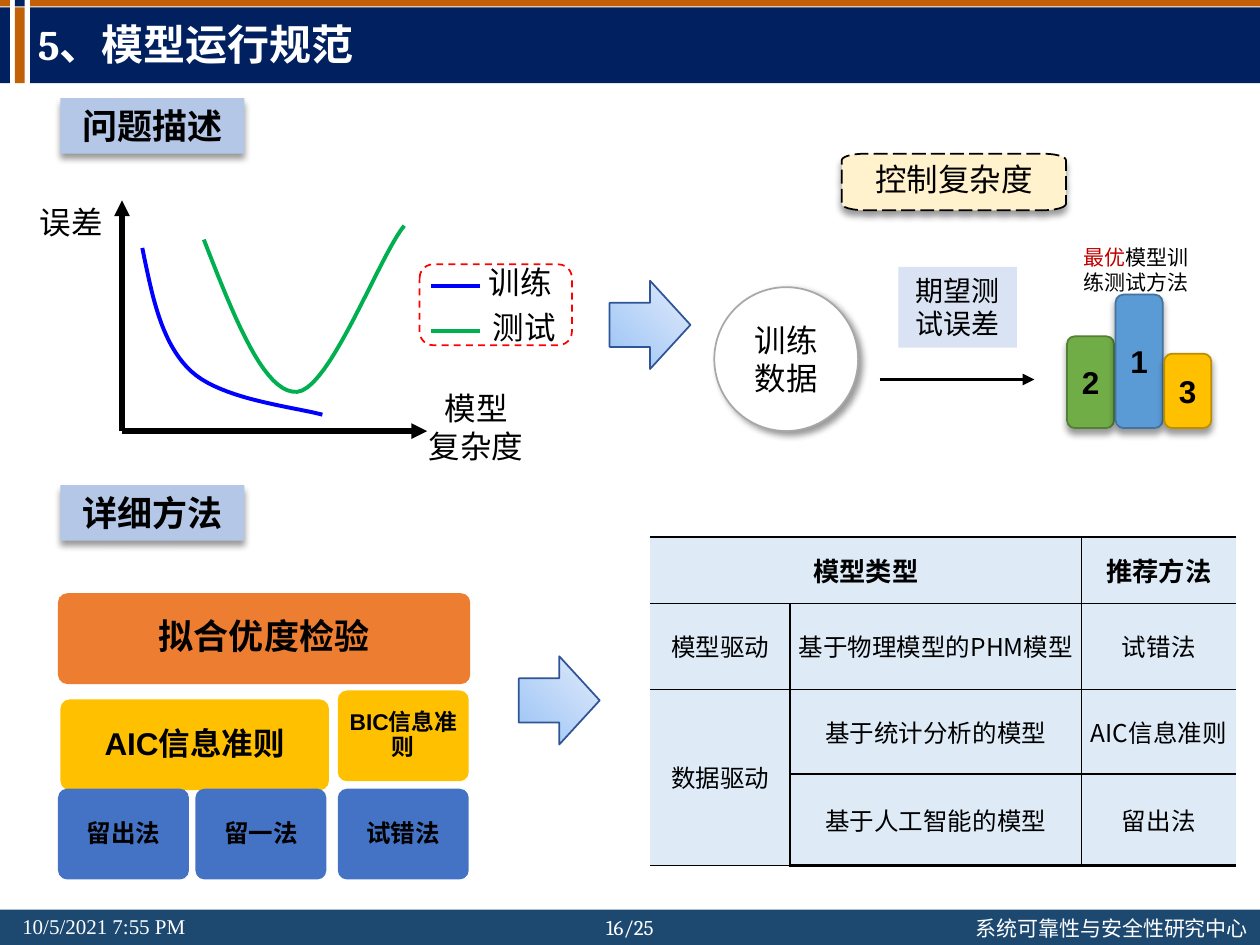
import math

import pptx
import pptx.dml.color
import pptx.enum.dml
import pptx.enum.shapes
import pptx.enum.text
import pptx.oxml
import pptx.oxml.ns
import pptx.util
from lxml import etree

Cm = pptx.util.Cm
Pt = pptx.util.Pt
qn = pptx.oxml.ns.qn
SHAPE = pptx.enum.shapes.MSO_SHAPE
DASH = pptx.enum.dml.MSO_LINE
ALIGN = pptx.enum.text.PP_ALIGN
ANCHOR = pptx.enum.text.MSO_ANCHOR

CJK = "Noto Sans CJK SC"
COLORS = {
    "black": "000000", "white": "FFFFFF", "navy": "002060", "rust": "C16007",
    "footer": "1D4971", "heading": "B4C7E7", "train": "0000FF", "test": "00B050",
    "legend": "FF0000", "arrow_start": "9AC3F5", "arrow_end": "E1EBFB",
    "arrow_line": "2F5597", "cream": "FFF2CC", "pale": "DAE3F3", "grey": "A8A8A8",
    "first": "5B9BD5", "first_line": "43739E", "second": "70AD47",
    "second_line": "538035", "third": "FFC000", "third_line": "BD8E00",
    "best": "C00000", "orange": "ED7D31", "blue": "4472C4", "cell": "DEEBF7",
}


def color(name):
    return pptx.dml.color.RGBColor.from_string(COLORS[name])


def write(frame, text, size=18, font="Arial", ink="black", bold=False, align=ALIGN.CENTER,
          anchor=ANCHOR.TOP, spacing=None, wrap=True, margin=None, lead="", lead_ink="best"):
    """Fill a text frame, one paragraph a line; lead is a coloured opening span."""
    frame.word_wrap = wrap
    frame.vertical_anchor = anchor
    if margin is not None:
        frame.margin_left = frame.margin_right = Cm(margin)
        frame.margin_top = frame.margin_bottom = Cm(margin)
    for index, line in enumerate(text.split("\n")):
        para = frame.add_paragraph() if index else frame.paragraphs[0]
        para.alignment = align
        if spacing:
            para.line_spacing = spacing
        spans = [(line, ink)]
        if lead and index == 0:
            spans.insert(0, (lead, lead_ink))
        for content, name in spans:
            span = para.add_run()
            span.text = content
            span.font.size = Pt(size)
            span.font.name = font
            span.font.bold = bold
            span.font.color.rgb = color(name)
            etree.SubElement(span.font._element, qn("a:ea"), typeface=CJK)


def add_text(page, left, top, width, height, text, **style):
    box = page.shapes.add_textbox(Cm(left), Cm(top), Cm(width), Cm(height))
    write(box.text_frame, text, **style)


def add_shadow(shape, angle):
    effects = shape.element.spPr.find(qn("a:effectLst"))
    shadow = etree.SubElement(effects, qn("a:outerShdw"), blurRad=str(Pt(4)), dist=str(Pt(3)),
                              dir=str(angle * 60000), algn="ctr", rotWithShape="0")
    tint = etree.SubElement(shadow, qn("a:srgbClr"), val=COLORS["black"])
    etree.SubElement(tint, qn("a:alpha"), val="40000")


def paint(shape, fill=None, line=None, width=1, dash=None, shadow=None):
    """Set fill, outline and shadow; shadow is its angle in degrees."""
    shape.shadow.inherit = False
    if fill:
        shape.fill.solid()
        shape.fill.fore_color.rgb = color(fill)
    else:
        shape.fill.background()
    if line:
        shape.line.color.rgb = color(line)
        shape.line.width = Pt(width)
        if dash:
            shape.line.dash_style = dash
    else:
        shape.line.fill.background()
    if shadow is not None:
        add_shadow(shape, shadow)


def add_shape(page, kind, left, top, width, height, radius=None, **look):
    shape = page.shapes.add_shape(kind, Cm(left), Cm(top), Cm(width), Cm(height))
    if radius is not None:
        shape.adjustments[0] = radius
    paint(shape, **look)
    return shape


def add_line(page, start, end, ink, width, arrow=False):
    line = page.shapes.add_connector(pptx.enum.shapes.MSO_CONNECTOR.STRAIGHT,
                                     Cm(start[0]), Cm(start[1]), Cm(end[0]), Cm(end[1]))
    line.line.color.rgb = color(ink)
    line.line.width = Pt(width)
    properties = line.element.spPr
    if arrow:
        etree.SubElement(properties.find(qn("a:ln")), qn("a:tailEnd"), type="triangle")
    etree.SubElement(properties, qn("a:effectLst"))


def add_outline(page, points, close=False, **look):
    points = [(Cm(x), Cm(y)) for x, y in points]
    builder = page.shapes.build_freeform(*points[0])
    builder.add_line_segments(points[1:], close=close)
    shape = builder.convert_to_shape()
    paint(shape, **look)
    return shape


def bezier_points(knots, steps=20):
    """Points along joined cubic curves: start, then two controls and an end for each."""
    points = [knots[0]]
    for first in range(0, len(knots) - 1, 3):
        for step in range(1, steps + 1):
            t = step / steps
            weights = ((1 - t) ** 3, 3 * t * (1 - t) ** 2, 3 * t * t * (1 - t), t ** 3)
            points.append(tuple(sum(w * knot[axis] for w, knot in zip(weights, knots[first:first + 4]))
                                for axis in (0, 1)))
    return points


def oval_corner_points(left, top, width, height, rx, ry):
    right, bottom = left + width - rx, top + height - ry
    centers = [(right, bottom), (left + rx, bottom), (left + rx, top + ry), (right, top + ry)]
    return [(x + rx * math.cos(math.radians(90 * corner + turn)),
             y + ry * math.sin(math.radians(90 * corner + turn)))
            for corner, (x, y) in enumerate(centers) for turn in range(0, 91, 15)]


def add_block_arrow(page, left, top):
    arrow = add_shape(page, SHAPE.RIGHT_ARROW, left, top, 1.63, 1.78, line="arrow_line")
    arrow.fill.gradient()
    arrow.fill.gradient_angle = 45
    for stop, name in zip(arrow.fill.gradient_stops, ("arrow_start", "arrow_end")):
        stop.color.rgb = color(name)


def add_frame(page):
    add_shape(page, SHAPE.RECTANGLE, 0, 18.34, 25.4, 0.71, fill="footer")
    for left, width, top_ink, band_ink in ((0.61, 24.79, "rust", "navy"), (0.3, 0.2, "navy", "rust"),
                                           (0, 0.2, "rust", "navy")):
        add_shape(page, SHAPE.RECTANGLE, left, 0, width, 0.13, fill=top_ink)
        add_shape(page, SHAPE.RECTANGLE, left, 0.15, width, 1.53, fill=band_ink)
    for left, top, width, text, font, align in (
            (0.2, 18.29, 4.14, "10/5/2021 7:55 PM", "Times New Roman", ALIGN.LEFT),
            (19.41, 18.34, 6.1, "系统可靠性与安全性研究中心", CJK, ALIGN.LEFT),
            (11.81, 18.31, 1.78, "16/25", "Cambria", ALIGN.CENTER)):
        add_text(page, left, top, width, 0.76, text, size=12, font=font, ink="white",
                 align=align, wrap=False)


def add_title(page, text):
    title = page.shapes.title
    title.left, title.top, title.width, title.height = Cm(0.51), Cm(0.18), Cm(22.53), Cm(1.52)
    write(title.text_frame, text, size=24, font="Cambria", ink="white", bold=True,
          align=ALIGN.LEFT, anchor=ANCHOR.MIDDLE, spacing=0.9)
    title.element.getparent().append(title.element)


def add_heading(page, top, text):
    box = add_shape(page, SHAPE.RECTANGLE, 1.22, top, 3.71, 1.12, fill="heading", shadow=90)
    write(box.text_frame, text, size=20, font="Times New Roman", bold=True)


def add_error_plot(page):
    origin = (2.46, 8.69)
    add_text(page, 0, 3.96, 2.87, 1.02, "误差")
    for end in ((2.46, 4.04), (8.61, 8.69)):
        add_line(page, origin, end, "black", 3, arrow=True)
    test = [(4.11, 4.83), (4.72, 6.4), (5.33, 7.95), (5.99, 7.9), (6.65, 7.85), (7.65, 5.16), (8.15, 4.55)]
    train = [(2.87, 5), (3.07, 5.97), (3.25, 6.93), (3.86, 7.49), (4.47, 8.05), (5.89, 8.2), (6.5, 8.36)]
    for knots, ink in ((test, "test"), (train, "train")):
        add_outline(page, bezier_points(knots), line=ink, width=2.25)
    add_text(page, 8.15, 7.72, 2.9, 1.8, "模型\n复杂度")
    for y, left, ink, text in ((5.77, 9.6, "train", "训练"), (6.68, 9.68, "test", "测试")):
        add_line(page, (8.69, y), (9.68, y), ink, 2.25)
        add_text(page, left, y - 0.59, 1.93, 1.02, text, align=ALIGN.LEFT)
    add_shape(page, SHAPE.ROUNDED_RECTANGLE, 8.46, 5.33, 3.07, 1.63, line="legend", dash=DASH.DASH)


def add_complexity_control(page):
    goal = add_outline(page, oval_corner_points(16.97, 3.1, 4.52, 1.14, 0.46, 0.13), close=True,
                       fill="cream", line="black", dash=DASH.LONG_DASH, shadow=90)
    write(goal.text_frame, "控制复杂度", font="Times New Roman")
    expected = add_shape(page, SHAPE.RECTANGLE, 18.11, 5.38, 2.39, 1.63, fill="pale")
    write(expected.text_frame, "期望测试误差", size=16, font="Times New Roman")
    data = add_shape(page, SHAPE.FLOWCHART_CONNECTOR, 14.4, 5.79, 2.9, 2.9, fill="white",
                     line="grey", shadow=45)
    write(data.text_frame, "训练数据", anchor=ANCHOR.MIDDLE)
    add_line(page, (17.73, 7.65), (20.85, 7.65), "black", 2.25, arrow=True)
    for index, (rank, name, height) in enumerate((("2", "second", 1.85), ("1", "first", 2.69),
                                                  ("3", "third", 1.5))):
        step = add_shape(page, SHAPE.ROUNDED_RECTANGLE, 21.51 + 0.98 * index, 8.63 - height, 0.95,
                         height, fill=name, line=name + "_line", shadow=90)
        write(step.text_frame, rank, bold=True, anchor=ANCHOR.MIDDLE, margin=0)
    add_text(page, 21.59, 4.8, 2.72, 1.3, "模型训练测试方法", size=12, align=ALIGN.LEFT, lead="最优")


def add_methods(page):
    for left, top, width, fill, size, text in (
            (1.17, 11.96, 8.31, "orange", 20, "拟合优度检验"), (1.22, 14.1, 5.41, "third", 18, "AIC信息准则"),
            (1.17, 15.9, 2.64, "blue", 14, "留出法"), (3.94, 15.9, 2.64, "blue", 14, "留一法"),
            (6.81, 13.92, 2.64, "third", 13, "BIC信息准则"), (6.81, 15.9, 2.64, "blue", 14, "试错法")):
        block = add_shape(page, SHAPE.ROUNDED_RECTANGLE, left, top, width, 1.83, radius=0.1, fill=fill)
        write(block.text_frame, text, size=size, bold=True, anchor=ANCHOR.MIDDLE, spacing=0.9, margin=0.13)


def set_borders(cell, **widths):
    """Widths in points by side L, R, T, B; 0 hides the side."""
    properties = cell._tc.get_or_add_tcPr()
    for side, width in widths.items():
        line = etree.SubElement(properties, qn("a:ln" + side), w=str(Pt(width)))
        if width:
            fill = etree.SubElement(line, qn("a:solidFill"))
            etree.SubElement(fill, qn("a:srgbClr"), val=COLORS["black"])
        else:
            etree.SubElement(line, qn("a:noFill"))


def add_method_table(page):
    rows = [["模型类型", "", "推荐方法"], ["模型驱动", "基于物理模型的PHM模型", "试错法"],
            ["数据驱动", "基于统计分析的模型", "AIC信息准则"], ["", "基于人工智能的模型", "留出法"]]
    widths, heights = (2.82, 5.87, 3.12), (1.35, 1.73, 1.7, 1.85)
    table = page.shapes.add_table(4, 3, Cm(13.11), Cm(10.82), Cm(sum(widths)), Cm(sum(heights))).table
    table.first_row = table.horz_banding = False
    for column, width in zip(table.columns, widths):
        column.width = Cm(width)
    for y, (texts, height) in enumerate(zip(rows, heights)):
        table.rows[y].height = Cm(height)
        for x, text in enumerate(texts):
            cell = table.cell(y, x)
            set_borders(cell, L=1 if x else 0, R=1 if x < 2 else 0, T=1 if y else 1.5, B=1 if y < 3 else 1.5)
            cell.fill.solid()
            cell.fill.fore_color.rgb = color("cell")
            cell.vertical_anchor = ANCHOR.MIDDLE
            if y:
                cell.margin_left = cell.margin_right = Cm(0.13)
                cell.margin_top = cell.margin_bottom = 0
            if text:
                style = {"size": 14, "font": CJK, "spacing": Pt(20)} if y else {"size": 15, "bold": True}
                write(cell.text_frame, text, anchor=ANCHOR.MIDDLE, **style)
    table.cell(0, 0).merge(table.cell(0, 1))
    table.cell(2, 0).merge(table.cell(3, 0))


def main():
    deck = pptx.Presentation()
    deck.slide_width, deck.slide_height = Cm(25.4), Cm(19.05)
    page = deck.slides.add_slide(deck.slide_layouts[5])
    add_frame(page)
    add_title(page, "5、模型运行规范")
    add_heading(page, 1.98, "问题描述")
    add_error_plot(page)
    add_block_arrow(page, 12.29, 5.66)
    add_complexity_control(page)
    add_heading(page, 9.78, "详细方法")
    add_methods(page)
    add_method_table(page)
    add_block_arrow(page, 10.46, 13.23)
    deck.save("out.pptx")


if __name__ == "__main__":
    main()
